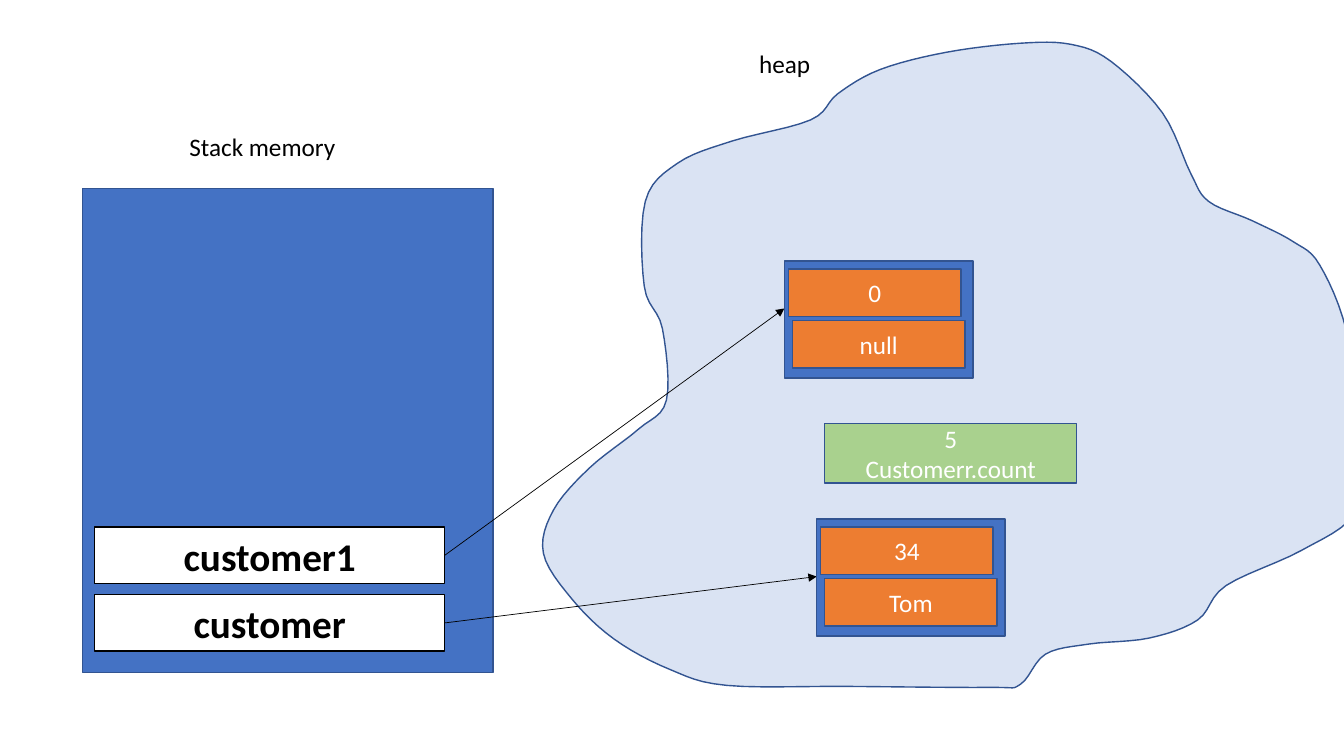
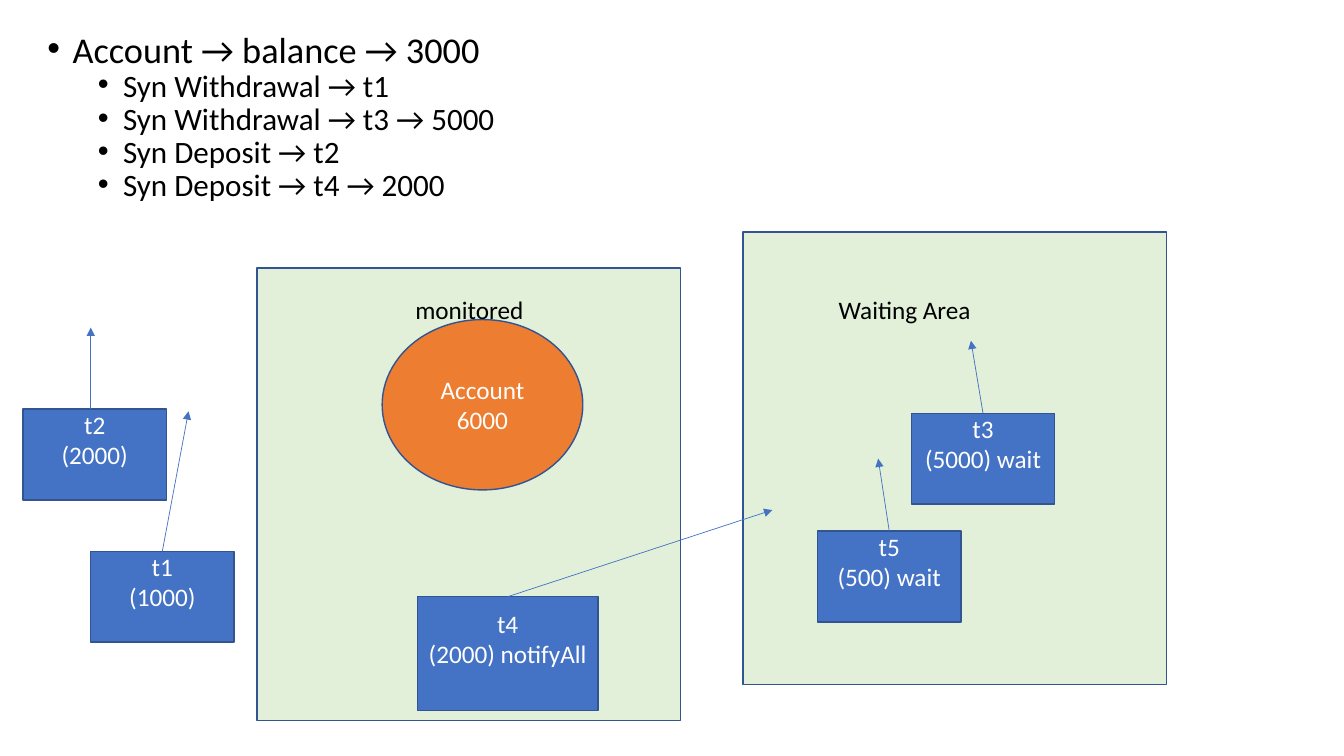
from lxml import etree
from pptx import Presentation
from pptx.dml.color import RGBColor
from pptx.enum.shapes import MSO_CONNECTOR, MSO_SHAPE
from pptx.enum.text import MSO_ANCHOR, MSO_AUTO_SIZE, PP_ALIGN
from pptx.oxml.ns import qn
from pptx.util import Inches, Pt

RECTANGLE = MSO_SHAPE.RECTANGLE
OVAL = MSO_SHAPE.OVAL
STRAIGHT = MSO_CONNECTOR.STRAIGHT
MIDDLE = MSO_ANCHOR.MIDDLE
TOP = MSO_ANCHOR.TOP
NO_FIT = MSO_AUTO_SIZE.NONE
LEFT = PP_ALIGN.LEFT
CENTER = PP_ALIGN.CENTER
TOP_SITE, RIGHT_SITE = 0, 3
BLANK_LAYOUT, CONTENT_LAYOUT = 6, 1
CURVE_STEPS = 6

COLORS = {
    "blue": "4472C4",
    "outline": "325491",
    "orange": "ED7D31",
    "green": "A9D18E",
    "pale_green": "E2F0D9",
    "pale_blue": "DAE3F3",
    "white": "FFFFFF",
    "black": "000000",
}

HEAP_OUTLINE = [
    (9.82, 6.82), (8.4, 6.81), (7.21, 6.8), (6.64, 6.64), (6.09, 6.34),
    (5.67, 5.94), (5.39, 5.49), (5.49, 5.06), (5.85, 4.64), (6.33, 4.26),
    (6.61, 3.97), (6.57, 3.26), (6.39, 2.84), (6.4, 2), (6.72, 1.62),
    (7.26, 1.4), (8.04, 1.19), (8.31, 0.93), (8.73, 0.69), (9.38, 0.52),
    (10.11, 0.43), (10.62, 0.44), (11.02, 0.61), (11.53, 1.12),
    (11.81, 1.72), (11.99, 2), (12.42, 2.19), (12.83, 2.4), (13.09, 2.63),
    (13.36, 3.3), (13.55, 4.45), (13.44, 5.09), (12.91, 5.46),
    (12.16, 5.81), (11.88, 6.15), (11.4, 6.33), (10.8, 6.39),
    (10.37, 6.49), (10.12, 6.79),
]


def rgb(name):
    return RGBColor.from_string(COLORS[name])


def smooth_curve(points):
    curve = []
    for index in range(len(points)):
        neighbours = [points[(index + offset) % len(points)]
                      for offset in (-1, 0, 1, 2)]
        for step in range(CURVE_STEPS):
            t = step / CURVE_STEPS
            curve.append(tuple(
                b + t * (c - a) / 2
                + t ** 2 * (2 * a - 5 * b + 4 * c - d) / 2
                + t ** 3 * (3 * b - a - 3 * c + d) / 2
                for a, b, c, d in zip(*neighbours)))
    return curve


def write_text(frame, text, size=18, color="black", bold=False, align=LEFT):
    for index, line in enumerate(text.split("\n")):
        paragraph = frame.paragraphs[0] if index == 0 else frame.add_paragraph()
        paragraph.alignment = align
        run = paragraph.add_run()
        run.text = line
        run.font.name = "Calibri"
        run.font.size = Pt(size)
        run.font.bold = bold
        run.font.color.rgb = rgb(color)


class Deck:
    """Hold the shared style and draw elements on the current slide."""

    def __init__(self):
        self.presentation = Presentation()
        self.presentation.slide_width = Inches(13.33)
        self.presentation.slide_height = Inches(7.5)
        self.slide = None

    def new_slide(self, layout):
        self.slide = self.presentation.slides.add_slide(
            self.presentation.slide_layouts[layout])
        title = self.slide.shapes.title
        if title is not None:
            title.element.getparent().remove(title.element)

    def paint(self, shape, fill, line="outline"):
        shape.shadow.inherit = False
        shape.fill.solid()
        shape.fill.fore_color.rgb = rgb(fill)
        shape.line.color.rgb = rgb(line)
        shape.line.width = Pt(1)

    def box(self, left, top, width, height, fill, text="", kind=RECTANGLE,
            line="outline", bottom_margin=0, **text_format):
        shape = self.slide.shapes.add_shape(
            kind, Inches(left), Inches(top), Inches(width), Inches(height))
        self.paint(shape, fill, line)
        if text:
            frame = shape.text_frame
            frame.word_wrap = True
            frame.vertical_anchor = MIDDLE
            frame.margin_top = 0
            frame.margin_bottom = Inches(bottom_margin)
            write_text(frame, text, align=CENTER,
                       **{"color": "white", **text_format})
        return shape

    def label(self, left, top, width, text):
        shape = self.slide.shapes.add_textbox(
            Inches(left), Inches(top), Inches(width), Inches(0.4))
        shape.text_frame.word_wrap = False
        write_text(shape.text_frame, text)

    def outline(self, points, fill):
        (start_x, start_y), *others = [
            (Inches(x), Inches(y)) for x, y in smooth_curve(points)]
        builder = self.slide.shapes.build_freeform(start_x, start_y)
        builder.add_line_segments(others, close=True)
        self.paint(builder.convert_to_shape(), fill)

    def arrow(self, tip, color, start=(0, 0), source=None, site=TOP_SITE):
        connector = self.slide.shapes.add_connector(
            STRAIGHT, *(Inches(value) for value in (*start, *tip)))
        if source is not None:
            connector.begin_connect(source, site)
        connector.line.color.rgb = rgb(color)
        connector.line.width = Pt(0.5)
        properties = connector.element.spPr
        line = properties.find(qn("a:ln"))
        etree.SubElement(line, qn("a:tailEnd"), type="triangle")
        etree.SubElement(properties, qn("a:effectLst"))

    def bullets(self, left, top, width, height, items):
        body = self.slide.placeholders[1]
        body.left, body.top = Inches(left), Inches(top)
        body.width, body.height = Inches(width), Inches(height)
        frame = body.text_frame
        frame.auto_size = NO_FIT
        frame.vertical_anchor = TOP
        for index, (level, text) in enumerate(items):
            if index:
                frame.add_paragraph()
            paragraph = frame.paragraphs[index]
            paragraph.level = level
            paragraph.line_spacing = 0.7
            paragraph.space_before = Pt(5 if level else 10)
            run = paragraph.add_run()
            run.text = text
            run.font.name = "Calibri"
            run.font.size = Pt(22.2 if level else 25.9)
            run.font.color.rgb = rgb("black")
            properties = paragraph._p.get_or_add_pPr()
            properties.set("marL", str(Inches(0.25 + 0.5 * level)))
            properties.set("indent", str(Inches(-0.25)))
            etree.SubElement(properties, qn("a:buChar"), char="•")

    def heap_object(self, left, top, fields):
        self.box(left, top, 1.87, 1.16, "blue")
        for index, text in enumerate(fields):
            self.box(left + 0.04 + 0.04 * index, top + 0.08 + 0.51 * index,
                     1.71, 0.47, "orange", text)

    def thread(self, left, top, text, width=1.42, height=0.9):
        return self.box(left, top, width, height, "blue", text,
                        bottom_margin=0.3)


def draw_memory(deck):
    deck.new_slide(BLANK_LAYOUT)
    deck.box(0.82, 1.87, 4.07, 4.8, "blue")
    deck.label(1.78, 1.25, 1.66, "Stack memory")
    deck.outline(HEAP_OUTLINE, "pale_blue")
    deck.label(7.43, 0.43, 0.72, "heap")
    for top, name, tip in [(5.9, "customer", (8.1, 5.72)),
                           (5.23, "customer1", (7.78, 3.06))]:
        variable = deck.box(0.94, top, 3.47, 0.56, "white", name,
                            line="black", size=28, color="black", bold=True)
        deck.arrow(tip, "black", source=variable, site=RIGHT_SITE)
    deck.heap_object(8.1, 5.15, ["34", "Tom"])
    deck.heap_object(7.78, 2.59, ["0", "null"])
    deck.box(8.18, 4.2, 2.5, 0.59, "green", "5\nCustomerr.count")


def draw_threads(deck):
    deck.new_slide(CONTENT_LAYOUT)
    deck.bullets(0.37, 0.34, 7.39, 1.76, [
        (0, "Account → balance → 3000"),
        (1, "Syn Withdrawal → t1"),
        (1, "Syn Withdrawal → t3 → 5000"),
        (1, "Syn Deposit → t2"),
        (1, "Syn Deposit → t4 → 2000"),
    ])
    for left, top in [(7.37, 2.3), (2.55, 2.66)]:
        deck.box(left, top, 4.2, 4.49, "pale_green")
    deck.box(3.79, 3.17, 1.99, 1.69, "orange", "Account\n6000", kind=OVAL)
    deck.label(8.22, 2.87, 1.53, "Waiting Area")
    deck.label(4.02, 2.87, 1.29, "monitored")
    deck.thread(0.23, 4.06, "t2\n(2000)")
    deck.arrow((0.9, 3.25), "blue", start=(0.9, 4.06))
    notifier = deck.thread(4.14, 5.92, "t4\n(2000) notifyAll", 1.79, 1.13)
    deck.arrow((7.66, 5.06), "blue", source=notifier)
    for left, top, text, tip in [(0.9, 5.47, "t1\n(1000)", (1.87, 4.08)),
                                 (9.04, 4.1, "t3\n(5000) wait", (9.63, 3.38)),
                                 (8.11, 5.27, "t5\n(500) wait", (8.71, 4.55))]:
        deck.arrow(tip, "blue", source=deck.thread(left, top, text))


def main():
    deck = Deck()
    draw_memory(deck)
    draw_threads(deck)
    deck.presentation.save("out.pptx")


if __name__ == "__main__":
    main()
